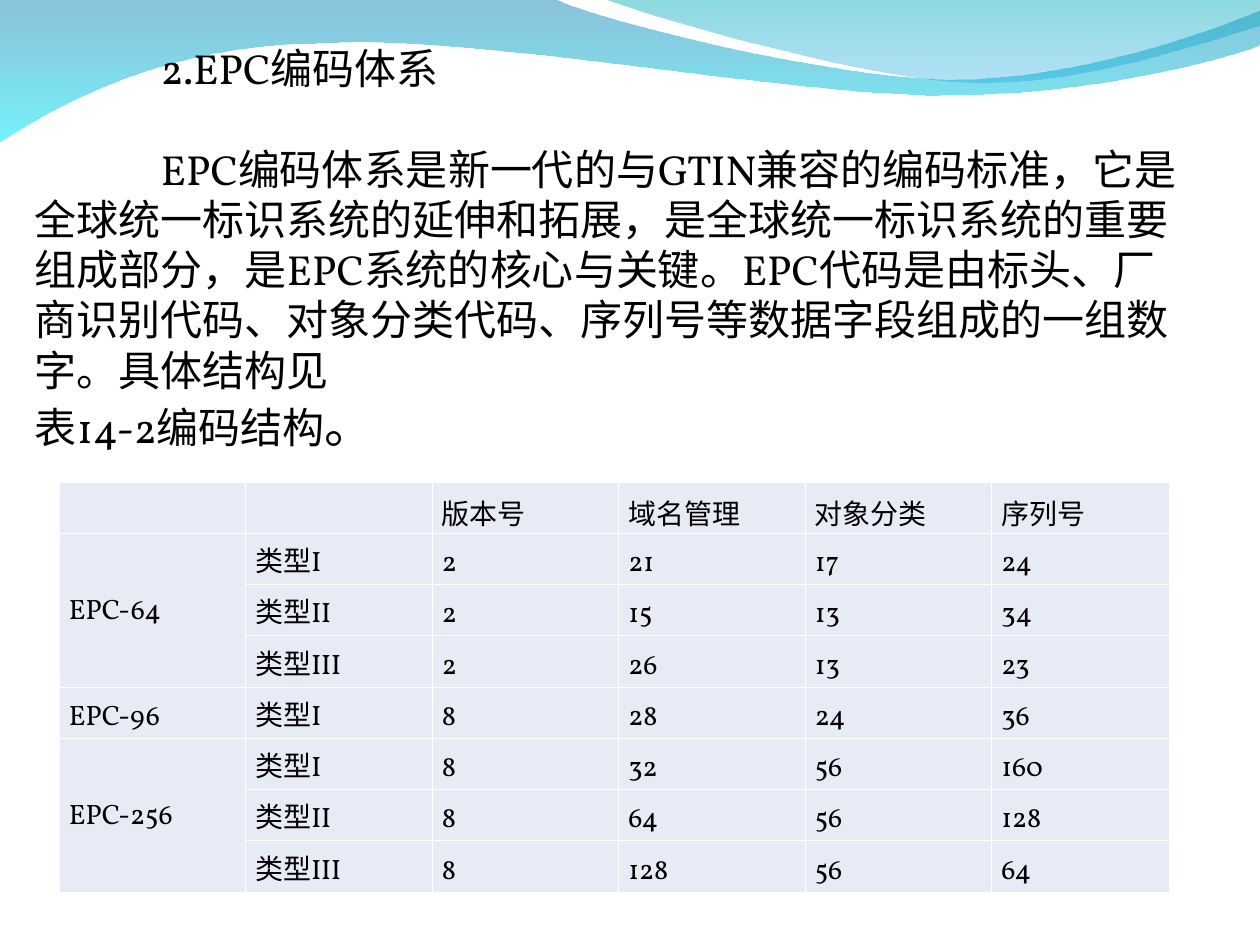
import pptx
import pptx.dml.color
import pptx.enum.text
import pptx.oxml
import pptx.oxml.ns
import pptx.util

SCALE = 914400 / 126
HUES = {"ink": "000000", "cell": "E7EBF5", "rule": "FFFFFF",
        "navy": "0079AF", "cyan": "00EBF8", "teal": "00ADB6", "sky": "009BE5"}
LATIN, HAN = "Vollkorn", "Noto Sans CJK SC"
WAVES = [
    ((-1, -1), [("navy", 45), ("cyan", 55)], [
        [(1, 0)], [(555, 0)],
        [(601, 22), (838, 80), (956, 80)], [(1076, 80), (1208, 34), (1261, 12)],
        [(1262, 46)],
        [(1240, 56), (1097, 97), (941, 96)], [(785, 96), (482, 36), (325, 44)],
        [(164, 45), (59, 106), (0, 143)]]),
    ((604, -1), [("teal", 45), ("sky", 30)], [
        [(0, 0)],
        [(37, 15), (255, 79), (365, 83)], [(475, 88), (607, 41), (656, 27)],
        [(656, 1)]]),
]
INTRO = [
    (126, 0, 28.7, [("2.EPC编码体系", 24)]),
    (126, 28.7, 28.7, [("EPC编码体系是新一代的与GTIN兼容的编码标准，它是全球统一标识系统的延伸和拓展，"
                        "是全球统一标识系统的重要组成部分，是EPC系统的核心与关键。EPC代码是由标头、"
                        "厂商识别代码、对象分类代码、序列号等数据字段组成的一组数字。具体结构见", 24)]),
    (0, 0, 33.6, [("表14-2编码结构", 24), ("。", 28)]),
]
HEADS = ["", "", "版本号", "域名管理", "对象分类", "序列号"]
CODES = [
    ("EPC-64", [("I", 2, 21, 17, 24), ("II", 2, 15, 13, 34), ("III", 2, 26, 13, 23)]),
    ("EPC-96", [("I", 8, 28, 24, 36)]),
    ("EPC-256", [("I", 8, 32, 56, 160), ("II", 8, 64, 56, 128), ("III", 8, 128, 56, 64)]),
]


def px(num):
    return pptx.util.Emu(round(num * SCALE))


def rgb(name):
    return pptx.dml.color.RGBColor.from_string(HUES[name])


def apply(item, **form):
    for key, val in form.items():
        setattr(item, key, val)


def add_run(para, text, size, face):
    run = para.add_run()
    run.text = text
    apply(run.font, size=pptx.util.Pt(size), name=face)
    run.font.color.rgb = rgb("ink")
    east = run.font._element.makeelement(pptx.oxml.ns.qn("a:ea"), {"typeface": HAN})
    run.font._element.append(east)


def bend(shape, parts):
    legs = iter(list(shape._element.iter(pptx.oxml.ns.qn("a:lnTo"))))
    for part in parts[1:]:
        group = [next(legs) for _ in part]
        if len(group) == 3:
            curve = group[0].makeelement(pptx.oxml.ns.qn("a:cubicBezTo"), {})
            group[0].addprevious(curve)
            for leg in group:
                curve.append(leg[0])
                leg.getparent().remove(leg)


def add_wave(slide, left, top, tones, parts):
    dots = [(px(left + x), px(top + y)) for part in parts for x, y in part]
    pen = slide.shapes.build_freeform(*dots[0], scale=1.0)
    pen.add_line_segments(dots[1:], close=True)
    wave = pen.convert_to_shape()
    bend(wave, parts)
    wave.shadow.inherit = False
    wave.line.fill.background()
    wave.fill.gradient()
    wave.fill.gradient_angle = 270
    for stop, (tone, alpha), place in zip(wave.fill.gradient_stops, tones, (0, 1)):
        stop.position = place
        stop.color.rgb = rgb(tone)
        hue = stop._gs.find(pptx.oxml.ns.qn("a:srgbClr"))
        hue.append(hue.makeelement(pptx.oxml.ns.qn("a:alpha"), {"val": str(alpha * 1000)}))


def add_intro(slide, left, top, width, height):
    frame = slide.shapes.add_textbox(px(left), px(top), px(width), px(height)).text_frame
    apply(frame, word_wrap=True, margin_left=px(13), margin_right=px(13),
          margin_top=px(8), margin_bottom=px(6))
    for i, (dent, gap, lead, runs) in enumerate(INTRO):
        para = frame.add_paragraph() if i else frame.paragraphs[0]
        apply(para, space_before=pptx.util.Pt(gap), line_spacing=pptx.util.Pt(lead))
        para._p.get_or_add_pPr().set("indent", str(px(dent)))
        for text, size in runs:
            add_run(para, text, size, LATIN)


def fill_cell(cell, runs):
    apply(cell, margin_left=px(10), margin_right=px(10), margin_top=px(12),
          margin_bottom=px(0), vertical_anchor=pptx.enum.text.MSO_ANCHOR.MIDDLE)
    cell.fill.solid()
    cell.fill.fore_color.rgb = rgb("cell")
    para = cell.text_frame.paragraphs[0]
    apply(para, alignment=pptx.enum.text.PP_ALIGN.JUSTIFY, line_spacing=pptx.util.Pt(22))
    for text, face in runs:
        add_run(para, text, 16, face)
    for i, side in enumerate("LRTB"):
        rule = pptx.oxml.parse_xml(
            f'<a:ln{side} {pptx.oxml.ns.nsdecls("a")} w="5715"><a:solidFill>'
            f'<a:srgbClr val="{HUES["rule"]}"/></a:solidFill></a:ln{side}>')
        cell._tc.get_or_add_tcPr().insert(i, rule)


def add_grid(slide, left, top, width, height):
    rows = [[[(text, HAN)] if text else [] for text in HEADS]]
    spans = []
    for code, kinds in CODES:
        spans.append((len(rows), len(kinds)))
        for i, (kind, *nums) in enumerate(kinds):
            name = [] if i else [(code, LATIN)]
            rows.append([name, [("类型", HAN), (kind, LATIN)]]
                        + [[(str(num), LATIN)] for num in nums])
    count = len(HEADS)
    grid = slide.shapes.add_table(len(rows), count, px(left), px(top),
                                  px(width), px(height)).table
    apply(grid, first_row=False, horz_banding=False)
    wide = (width + 8) / count
    for i, col in enumerate(grid.columns):
        col.width = px(wide if i < count - 1 else wide - 8)
    for r, row in enumerate(rows):
        grid.rows[r].height = px(height / len(rows))
        for c, runs in enumerate(row):
            fill_cell(grid.cell(r, c), runs)
    for first, size in spans:
        if size > 1:
            head = grid.cell(first, 0)
            head.merge(grid.cell(first + size - 1, 0))
            apply(head, margin_top=px(9), margin_bottom=px(3))


def main():
    deck = pptx.Presentation()
    apply(deck, slide_width=px(1260), slide_height=px(945))
    slide = deck.slides.add_slide(deck.slide_layouts[6])
    for spot, tones, parts in WAVES:
        add_wave(slide, *spot, tones, parts)
    add_intro(slide, 22, 35, 1186, 425)
    add_grid(slide, 59, 482, 1111, 410)
    deck.save("out.pptx")


if __name__ == "__main__":
    main()
